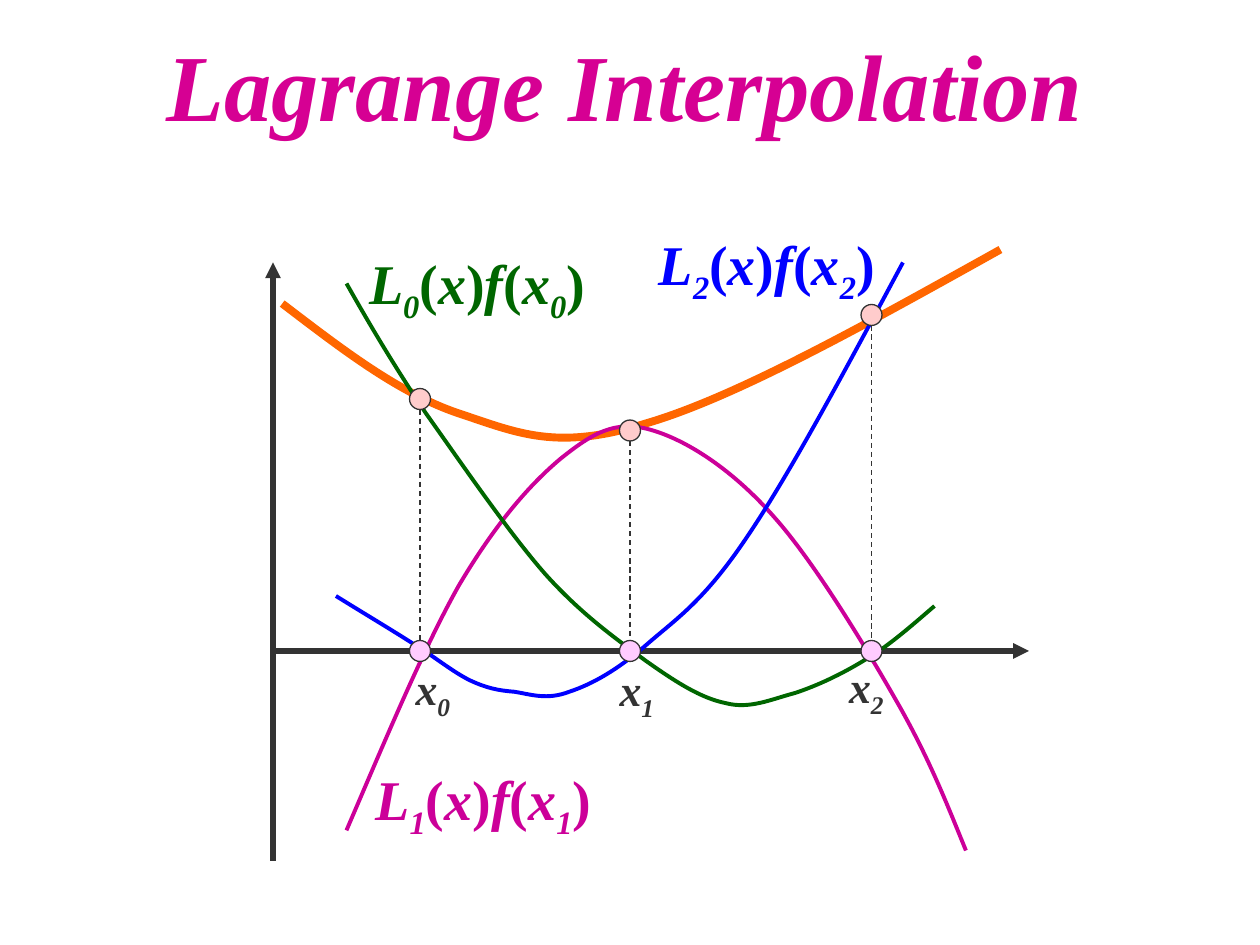
from lxml import etree
from pptx import Presentation
from pptx.dml.color import RGBColor
from pptx.enum.dml import MSO_LINE
from pptx.enum.shapes import MSO_CONNECTOR, MSO_SHAPE
from pptx.enum.text import MSO_ANCHOR, MSO_AUTO_SIZE, PP_ALIGN
from pptx.oxml.ns import qn
from pptx.util import Pt

COLORS = {
    "title": "D60093", "ink": "333333", "f": "FF6600",
    "L0": "006600", "L1": "CC0099", "L2": "0000FF",
    "node": "FFCCFF", "value": "FFCCCC",
}
FONT = "Times New Roman"
AXIS_X, AXIS_Y, R = 156, 372, 6
NODES = [(240, 228), (360, 246), (498, 180)]
CURVES = {
    "f": [(161.3, 173.5), (194.4, 198.7), (227.5, 224.6), (262.1, 236.2),
          (296.6, 247.7), (318.2, 257.8), (369.4, 241.9),
          (421.2, 226.8), (496.8, 184.3), (571.7, 142.6)],
    "L1": [(198, 474.5), (220.3, 422.6), (241.9, 370.8), (262.1, 334.8),
           (283, 299.5), (302.4, 277.2), (320.4, 262.1),
           (338.4, 247.7), (351.4, 239.8), (371.5, 245.5),
           (392.4, 251.3), (419, 268.6), (442.8, 295.9),
           (465.8, 321.8), (495.4, 370.8), (513.4, 402.5),
           (531.4, 434.2), (541.4, 460.1), (552, 486)],
    "L2": [(192, 340.6), (208.1, 350.6), (223.9, 360), (236.2, 367.9),
           (249.1, 375.8), (258.5, 383.8), (268.6, 388.8),
           (277.9, 393.1), (284.4, 394.6), (293.8, 395.3),
           (303.1, 396.7), (312.5, 400.3), (325.4, 395.3),
           (338.4, 391), (352.8, 383), (370.1, 367.9),
           (386.6, 353.5), (402.5, 343.4), (427, 306.7),
           (451.4, 270.7), (483.8, 210.2), (516, 150)],
    "L0": [(534, 346.3), (520.6, 357.8), (507.6, 369.4), (493.9, 377.3),
           (481, 385.2), (467.3, 391.7), (454.3, 396),
           (440.6, 399.6), (428.4, 405.4), (414.7, 401.8),
           (400.3, 398.9), (385.9, 389.5), (368.6, 377.3),
           (352.1, 365), (332.6, 351.4), (311.8, 328.3),
           (290.9, 304.6), (262.8, 263.5), (243.4, 236.2),
           (224.6, 208.1), (211, 185), (198, 162)],
}


def add_line(x1, y1, x2, y2, width):
    sp = s.shapes.add_connector(MSO_CONNECTOR.STRAIGHT, Pt(x1), Pt(y1), Pt(x2), Pt(y2))
    sp.line.color.rgb = RGBColor.from_string(COLORS["ink"])
    sp.line.width = Pt(width)
    etree.SubElement(sp._element.spPr, qn("a:effectLst"))
    return sp


def add_label(x, y, w, h, text, sub, size, color):
    sp = s.shapes.add_textbox(Pt(x), Pt(y), Pt(w), Pt(h))
    tf = sp.text_frame
    tf.word_wrap = True
    tf.auto_size = MSO_AUTO_SIZE.SHAPE_TO_FIT_TEXT
    p = tf.paragraphs[0]
    p.font.name = FONT
    p.font.size = Pt(size)
    p.font.bold = True
    p.font.color.rgb = RGBColor.from_string(COLORS[color])
    for char in text:
        r = p.add_run()
        r.text = sub if char == "_" else char
        r.font.italic = char not in "()"
        if char == "_":
            r.font._element.set("baseline", "-25000")


prs = Presentation()
prs.slide_width, prs.slide_height = Pt(720), Pt(540)
s = prs.slides.add_slide(prs.slide_layouts[5])

title = s.shapes.title
title.left, title.top, title.width, title.height = Pt(48), Pt(18), Pt(618), Pt(66)
tf = title.text_frame
tf.text = "Lagrange Interpolation"
tf.vertical_anchor = MSO_ANCHOR.BOTTOM
tf.auto_size = MSO_AUTO_SIZE.NONE
p = tf.paragraphs[0]
p.alignment = PP_ALIGN.CENTER
p.font.name = FONT
p.font.size = Pt(54)
p.font.bold = p.font.italic = True
p.font.color.rgb = RGBColor.from_string(COLORS["title"])

for x1, y1, x2, y2 in [(AXIS_X, AXIS_Y, 588, AXIS_Y), (AXIS_X, 492, AXIS_X, 150)]:
    axis = add_line(x1, y1, x2, y2, 3)
    etree.SubElement(axis.line._get_or_add_ln(), qn("a:tailEnd"), type="triangle")

for name, points in CURVES.items():
    points = [(Pt(x), Pt(y)) for x, y in points]
    builder = s.shapes.build_freeform(*points[0])
    builder.add_line_segments(points[1:], close=False)
    sp = builder.convert_to_shape()
    sp.shadow.inherit = False
    sp.fill.background()
    sp.line.color.rgb = RGBColor.from_string(COLORS[name])
    sp.line.width = Pt(4.5 if name == "f" else 2.25)
    outline = next(sp._element.iter(qn("a:path")))
    segments = outline.findall(qn("a:lnTo"))
    for i in range(0, len(segments), 3):
        bezier = etree.SubElement(outline, qn("a:cubicBezTo"))
        for segment in segments[i:i + 3]:
            bezier.append(segment[0])
            outline.remove(segment)

for x, y in NODES:
    add_line(x, y + R, x, AXIS_Y, 0.75).line.dash_style = MSO_LINE.DASH

for x, y in NODES:
    for cy, color in [(AXIS_Y, "node"), (y, "value")]:
        sp = s.shapes.add_shape(MSO_SHAPE.OVAL, Pt(x - R), Pt(cy - R), Pt(2 * R), Pt(2 * R))
        sp.shadow.inherit = False
        sp.fill.solid()
        sp.fill.fore_color.rgb = RGBColor.from_string(COLORS[color])
        sp.line.color.rgb = RGBColor.from_string(COLORS["ink"])
        sp.line.width = Pt(0.75)

for i, (x, y, w) in enumerate([(203.8, 138.2, 155.5), (207.4, 433.4, 145.4), (369.4, 127.4, 151.2)]):
    add_label(x, y, w, 51, "L_(x)f(x_)", str(i), 32, f"L{i}")

for i, (x, y) in enumerate([(230.4, 374.4), (347, 375.1), (478.1, 373.7)]):
    add_label(x, y, 40.3, 41.8, "x_", str(i), 25, "ink")

prs.save("out.pptx")
